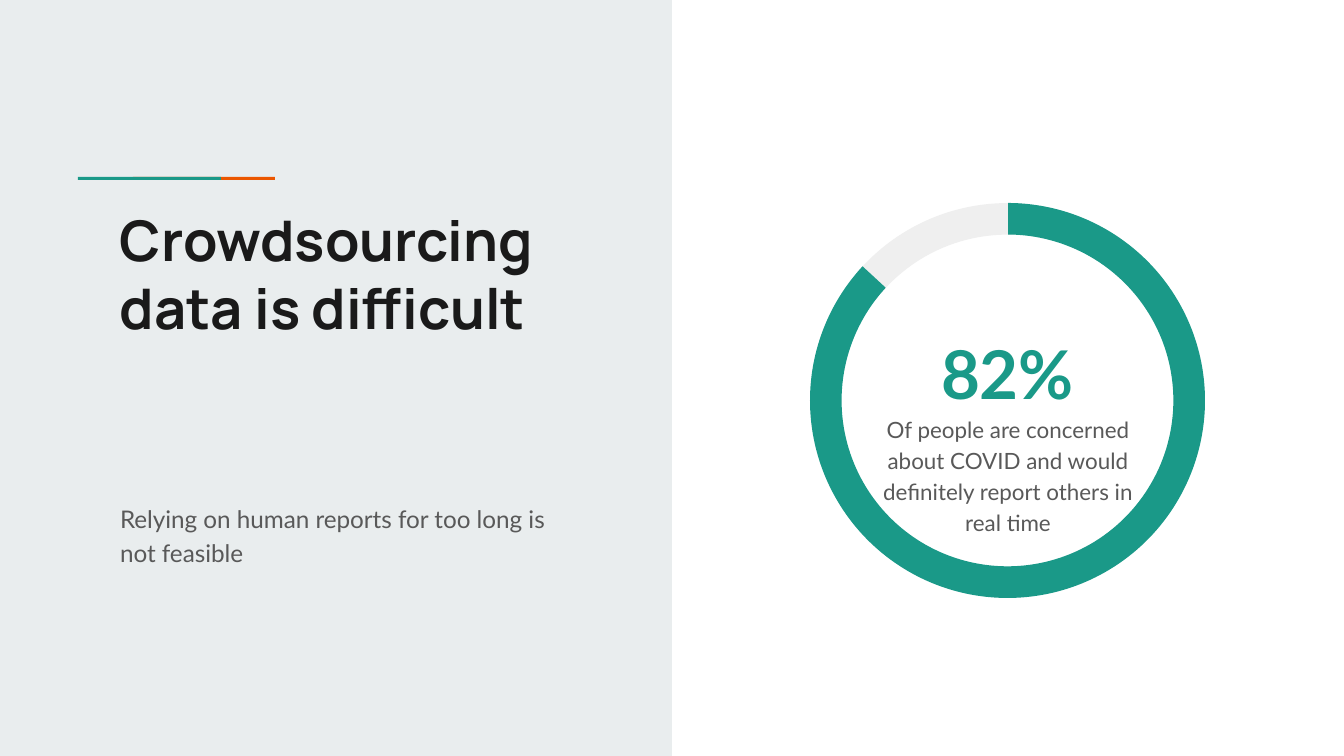
"""Build a slide with a headline panel and a ring showing a share."""
from typing import NamedTuple

from pptx import Presentation
from pptx.dml.color import RGBColor
from pptx.enum.shapes import MSO_SHAPE
from pptx.enum.text import MSO_ANCHOR, PP_ALIGN
from pptx.util import Emu, Pt

SCALE = 914400 / 134.4


class Theme(NamedTuple):
    panel: str = "E9EDEE"
    teal: str = "1A9988"
    orange: str = "EB5600"
    pale: str = "EFEFEF"
    dark: str = "1A1A1A"
    grey: str = "595959"
    head: str = "Manrope"
    body: str = "Lato"
    title: int = 30
    stat: int = 36
    lead: int = 13
    note: int = 12


class Box(NamedTuple):
    left: int
    top: int
    width: int
    height: int


class Form(NamedTuple):
    kind: MSO_SHAPE
    box: Box
    fill: str
    turn: float = 0
    adjust: tuple[float, ...] = ()


class Label(NamedTuple):
    text: str
    box: Box
    size: int
    color: str
    font: str
    bold: bool = False
    align: PP_ALIGN = PP_ALIGN.LEFT
    line: float = 1.15
    after: int = 0


def px(count: int) -> Emu:
    return Emu(round(count * SCALE))


def place(box: Box) -> list[Emu]:
    return [px(side) for side in box]


def draw_form(slide, form: Form) -> None:
    shape = slide.shapes.add_shape(form.kind, *place(form.box))
    shape.shadow.inherit = False
    shape.fill.solid()
    shape.fill.fore_color.rgb = RGBColor.from_string(form.fill)
    shape.line.fill.background()
    shape.rotation = form.turn
    for index, value in enumerate(form.adjust):
        shape.adjustments[index] = value


def draw_label(slide, label: Label) -> None:
    frame = slide.shapes.add_textbox(*place(label.box)).text_frame
    frame.word_wrap = True
    frame.vertical_anchor = MSO_ANCHOR.TOP
    frame.margin_left = frame.margin_right = px(13)
    frame.margin_top = frame.margin_bottom = px(13)
    para = frame.paragraphs[0]
    para.alignment = label.align
    para.line_spacing = label.line
    para.space_after = Pt(label.after)
    run = para.add_run()
    run.text = label.text
    run.font.name = label.font
    run.font.size = Pt(label.size)
    run.font.bold = label.bold
    run.font.color.rgb = RGBColor.from_string(label.color)


def main() -> None:
    theme = Theme()
    deck = Presentation()
    deck.slide_width, deck.slide_height = px(1344), px(756)
    slide = deck.slides.add_slide(deck.slide_layouts[6])
    ring = Box(810, 203, 395, 395)
    forms = [
        Form(MSO_SHAPE.RECTANGLE, Box(0, 0, 672, 756), theme.panel),
        Form(MSO_SHAPE.RECTANGLE, Box(133, 177, 142, 3), theme.orange),
        Form(MSO_SHAPE.RECTANGLE, Box(78, 177, 143, 3), theme.teal),
        Form(MSO_SHAPE.BLOCK_ARC, ring, theme.pale, 176.5, (26.28, 58.81, 0.08)),
        Form(MSO_SHAPE.BLOCK_ARC, ring, theme.teal, 0, (162.11, 133.67, 0.08)),
    ]
    labels = [
        Label("Crowdsourcing data is difficult", Box(107, 193, 485, 249),
              theme.title, theme.dark, theme.head, bold=True, line=1.0),
        Label("Relying on human reports for too long is not feasible",
              Box(107, 487, 451, 112), theme.lead, theme.grey, theme.body, after=10),
        Label("82%", Box(887, 307, 241, 94), theme.stat, theme.teal, theme.body,
              bold=True, align=PP_ALIGN.CENTER),
        Label("Of people are concerned about COVID and would definitely report "
              "others in real time", Box(864, 399, 288, 145), theme.note,
              theme.grey, theme.body, align=PP_ALIGN.CENTER, after=16),
    ]
    for form in forms:
        draw_form(slide, form)
    for label in labels:
        draw_label(slide, label)
    deck.save("out.pptx")


if __name__ == "__main__":
    main()
